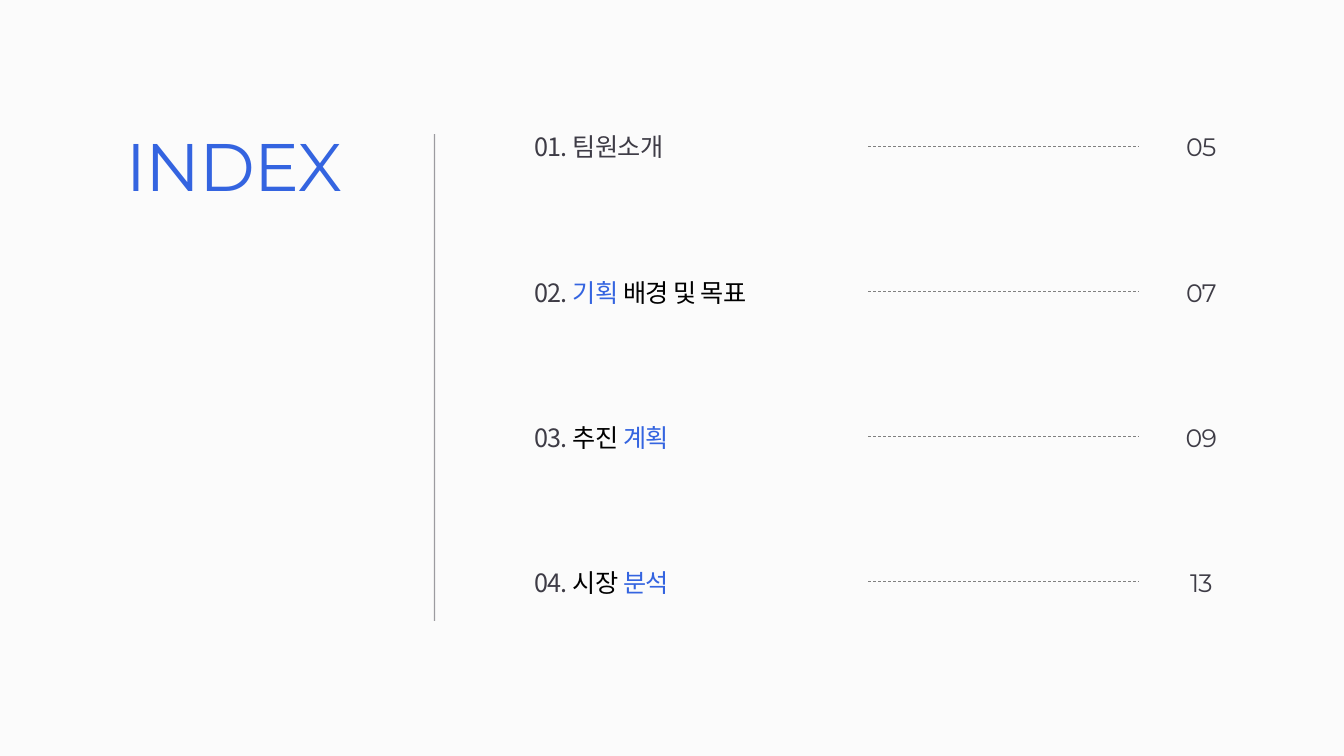
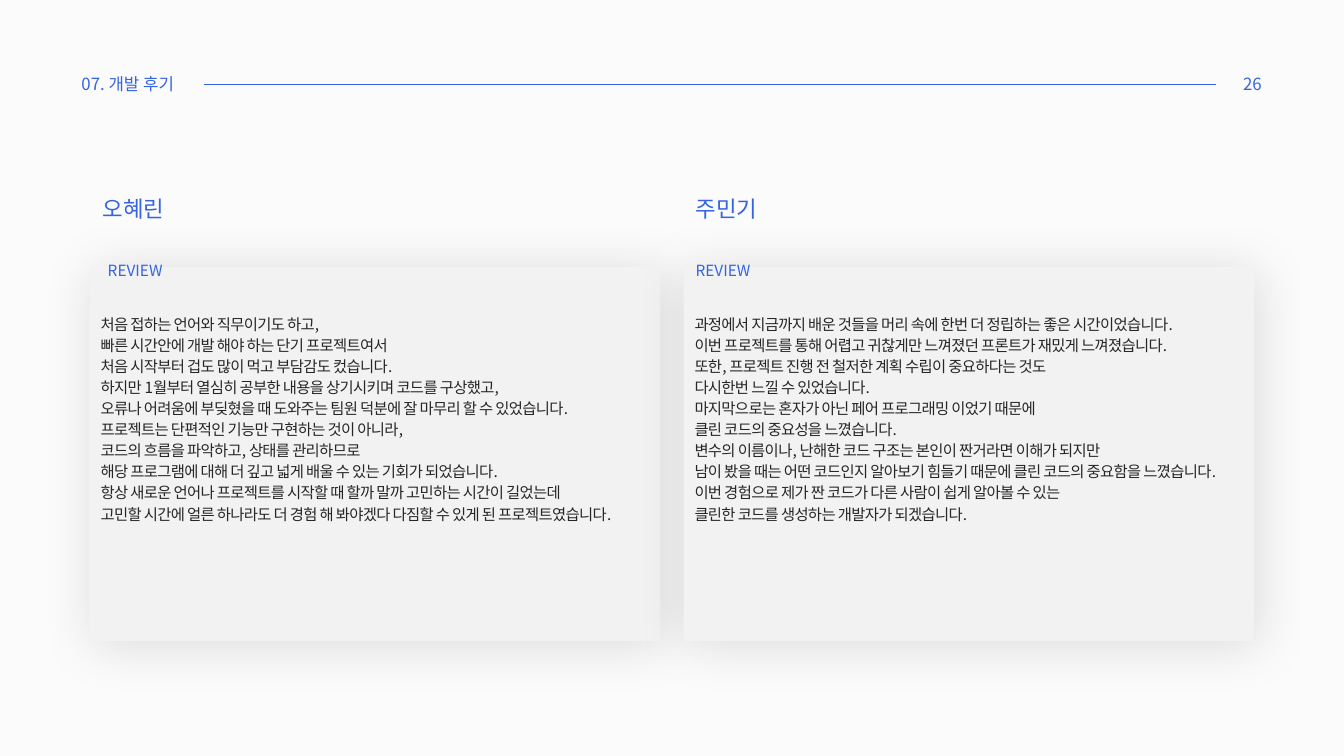
from dataclasses import dataclass

import pptx
import pptx.dml.color
import pptx.enum.dml
import pptx.enum.shapes
import pptx.enum.text
import pptx.oxml
import pptx.oxml.ns
import pptx.util
from pptx.dml.color import RGBColor
from pptx.util import Inches

BLUE = RGBColor(0x34, 0x64, 0xE0)
INK = RGBColor(0x3E, 0x3C, 0x46)
BLACK = RGBColor(0x00, 0x00, 0x00)
BODY = RGBColor(0x26, 0x26, 0x26)
GRAY = RGBColor(0x80, 0x80, 0x80)
CARD = RGBColor(0xF2, 0xF2, 0xF2)
PAPER = RGBColor(0xFB, 0xFB, 0xFB)

KOREAN = "Noto Sans CJK KR"
LATIN = "Montserrat"

LEFT = pptx.enum.text.PP_ALIGN.LEFT
CENTER = pptx.enum.text.PP_ALIGN.CENTER

Span = tuple[str, RGBColor]


@dataclass
class Entry:
    spans: list[Span]
    page_number: str
    width: float


@dataclass
class Review:
    author: str
    lines: list[str]
    card_left: float
    author_left: float
    label_left: float
    body_left: float
    body_width: float
    body_height: float


ENTRIES = [
    Entry([("01. 팀원소개", INK)], "05", 1.56),
    Entry([("02. ", INK), ("기획 ", BLUE), ("배경 및 목표", BLACK)], "07", 2.51),
    Entry([("03. ", INK), ("추진 ", BLACK), ("계획", BLUE)], "09", 1.74),
    Entry([("04. ", INK), ("시장 ", BLACK), ("분석", BLUE)], "13", 1.68),
]

REVIEWS = [
    Review(
        "오혜린",
        [
            "처음 접하는 언어와 직무이기도 하고,",
            "빠른 시간안에 개발 해야 하는 단기 프로젝트여서",
            "처음 시작부터 겁도 많이 먹고 부담감도 컸습니다.",
            "하지만 1월부터 열심히 공부한 내용을 상기시키며 코드를 구상했고,",
            "오류나 어려움에 부딪혔을 때 도와주는 팀원 덕분에 잘 마무리 할 수 있었습니다.",
            "프로젝트는 단편적인 기능만 구현하는 것이 아니라,",
            "코드의 흐름을 파악하고, 상태를 관리하므로",
            "해당 프로그램에 대해 더 깊고 넓게 배울 수 있는 기회가 되었습니다.",
            "항상 새로운 언어나 프로젝트를 시작할 때 할까 말까 고민하는 시간이 길었는데",
            "고민할 시간에 얼른 하나라도 더 경험 해 봐야겠다 다짐할 수 있게 된 프로젝트였습니다.",
        ],
        card_left=0.89, author_left=0.92, label_left=0.97,
        body_left=0.9, body_width=5.6, body_height=2.42,
    ),
    Review(
        "주민기",
        [
            "과정에서 지금까지 배운 것들을 머리 속에 한번 더 정립하는 좋은 시간이었습니다.",
            "이번 프로젝트를 통해 어렵고 귀찮게만 느껴졌던 프론트가 재밌게 느껴졌습니다.",
            "또한, 프로젝트 진행 전 철저한 계획 수립이 중요하다는 것도",
            "다시한번 느낄 수 있었습니다.",
            "마지막으로는 혼자가 아닌 페어 프로그래밍 이었기 때문에",
            "클린 코드의 중요성을 느꼈습니다.",
            "변수의 이름이나, 난해한 코드 구조는 본인이 짠거라면 이해가 되지만",
            "남이 봤을 때는 어떤 코드인지 알아보기 힘들기 때문에 클린 코드의 중요함을 느꼈습니다.",
            "이번 경험으로 제가 짠 코드가 다른 사람이 쉽게 알아볼 수 있는",
            "클린한 코드를 생성하는 개발자가 되겠습니다.",
        ],
        card_left=6.78, author_left=6.8, label_left=6.8,
        body_left=6.79, body_width=6.1, body_height=2.19,
    ),
]


def add_text(page, paragraphs: str | list[list[Span]], left: float, top: float,
             width: float, height: float, *, size: float, color: RGBColor = BLUE,
             font: str = KOREAN, align=LEFT, line_spacing: float | None = None,
             tracking: float = 0):
    """Add an unwrapped text box; tracking is in points."""
    if isinstance(paragraphs, str):
        paragraphs = [[(paragraphs, color)]]
    box = page.shapes.add_textbox(
        Inches(left), Inches(top), Inches(width), Inches(height))
    frame = box.text_frame
    frame.word_wrap = False
    frame.auto_size = pptx.enum.text.MSO_AUTO_SIZE.SHAPE_TO_FIT_TEXT
    for index, spans in enumerate(paragraphs):
        para = frame.add_paragraph() if index else frame.paragraphs[0]
        para.alignment = align
        if line_spacing:
            para.line_spacing = line_spacing
        for text, span_color in spans:
            span = para.add_run()
            span.text = text
            span.font.size = pptx.util.Pt(size)
            span.font.color.rgb = span_color
            span.font.name = font
            properties = span.font._element
            if tracking:
                properties.set("spc", str(round(tracking * 100)))
            east_asian = pptx.oxml.parse_xml(
                f'<a:ea {pptx.oxml.ns.nsdecls("a")} typeface="{font}"/>')
            properties.find(pptx.oxml.ns.qn("a:latin")).addnext(east_asian)
    return box


def add_line(page, start: tuple[float, float], end: tuple[float, float], *,
             color: RGBColor, width: float, dashed: bool = False,
             opacity: int = 100):
    """Add a straight line; width is in points and opacity in percent."""
    line = page.shapes.add_connector(
        pptx.enum.shapes.MSO_CONNECTOR.STRAIGHT,
        Inches(start[0]), Inches(start[1]), Inches(end[0]), Inches(end[1]))
    line.line.color.rgb = color
    line.line.width = pptx.util.Pt(width)
    if dashed:
        line.line.dash_style = pptx.enum.dml.MSO_LINE.DASH
    properties = line._element.spPr
    if opacity < 100:
        tint = properties.find(".//" + pptx.oxml.ns.qn("a:srgbClr"))
        tint.append(pptx.oxml.parse_xml(
            f'<a:alpha {pptx.oxml.ns.nsdecls("a")} val="{opacity * 1000}"/>'))
    properties.append(pptx.oxml.parse_xml(
        f'<a:effectLst {pptx.oxml.ns.nsdecls("a")}/>'))
    return line


def add_card(page, left: float, top: float, width: float, height: float):
    """Add a gray panel with a soft, wide shadow."""
    card = page.shapes.add_shape(
        pptx.enum.shapes.MSO_SHAPE.RECTANGLE,
        Inches(left), Inches(top), Inches(width), Inches(height))
    card.fill.solid()
    card.fill.fore_color.rgb = CARD
    card.line.fill.background()
    card.shadow.inherit = False
    effects = card._element.spPr.find(pptx.oxml.ns.qn("a:effectLst"))
    effects.append(pptx.oxml.parse_xml(
        f'<a:outerShdw {pptx.oxml.ns.nsdecls("a")} blurRad="{pptx.util.Pt(38)}"'
        f' dist="{pptx.util.Pt(4)}" dir="2700000" algn="tl" rotWithShape="0">'
        f'<a:srgbClr val="{BLACK}"><a:alpha val="13000"/></a:srgbClr>'
        '</a:outerShdw>'))
    return card


def add_header(page, title: str, page_number: str) -> None:
    add_text(page, title, 0.71, 0.68, 1.21, 0.3, size=12)
    add_line(page, (2.02, 0.84), (12.06, 0.84), color=BLUE, width=1)
    add_text(page, page_number, 12.23, 0.68, 0.42, 0.3, size=12)


def build_index(page) -> None:
    style = {"line_spacing": 1.06, "tracking": -0.5}
    first_top, row_step = 1.24, 1.44
    add_text(page, "INDEX", 1.15, 1.14, 2.44, 0.91, size=48, font=LATIN, **style)
    add_line(page, (4.31, 1.33), (4.31, 6.16), color=INK, width=1, opacity=50)
    for row, entry in enumerate(ENTRIES):
        top = first_top + row * row_step
        leader = top + 0.21
        add_text(page, [entry.spans], 5.2, top, entry.width, 0.42, size=18, **style)
        add_line(page, (8.61, leader), (11.29, leader),
                 color=GRAY, width=0.5, dashed=True)
        add_text(page, entry.page_number, 11.66, top, 0.51, 0.4, size=18,
                 color=INK, font=LATIN, align=CENTER, **style)


def build_reviews(page) -> None:
    add_header(page, "07. 개발 후기", "26")
    for review in REVIEWS:
        add_card(page, review.card_left, 2.65, 5.66, 3.71)
    for review in REVIEWS:
        add_text(page, review.author, review.author_left, 1.87, 0.85, 0.39,
                 size=16, line_spacing=1.08)
        add_text(page, "REVIEW", review.label_left, 2.54, 0.91, 0.29, size=11)
        add_text(page, [[(line, BODY)] for line in review.lines],
                 review.body_left, 3.05, review.body_width, review.body_height,
                 size=11, line_spacing=1.14, tracking=-0.5)


def main() -> None:
    deck = pptx.Presentation()
    deck.slide_width = Inches(13.33)
    deck.slide_height = Inches(7.5)
    background = deck.slide_master.background.fill
    background.solid()
    background.fore_color.rgb = PAPER
    blank = deck.slide_layouts[6]
    for build in (build_index, build_reviews):
        build(deck.slides.add_slide(blank))
    deck.save("out.pptx")


if __name__ == "__main__":
    main()
